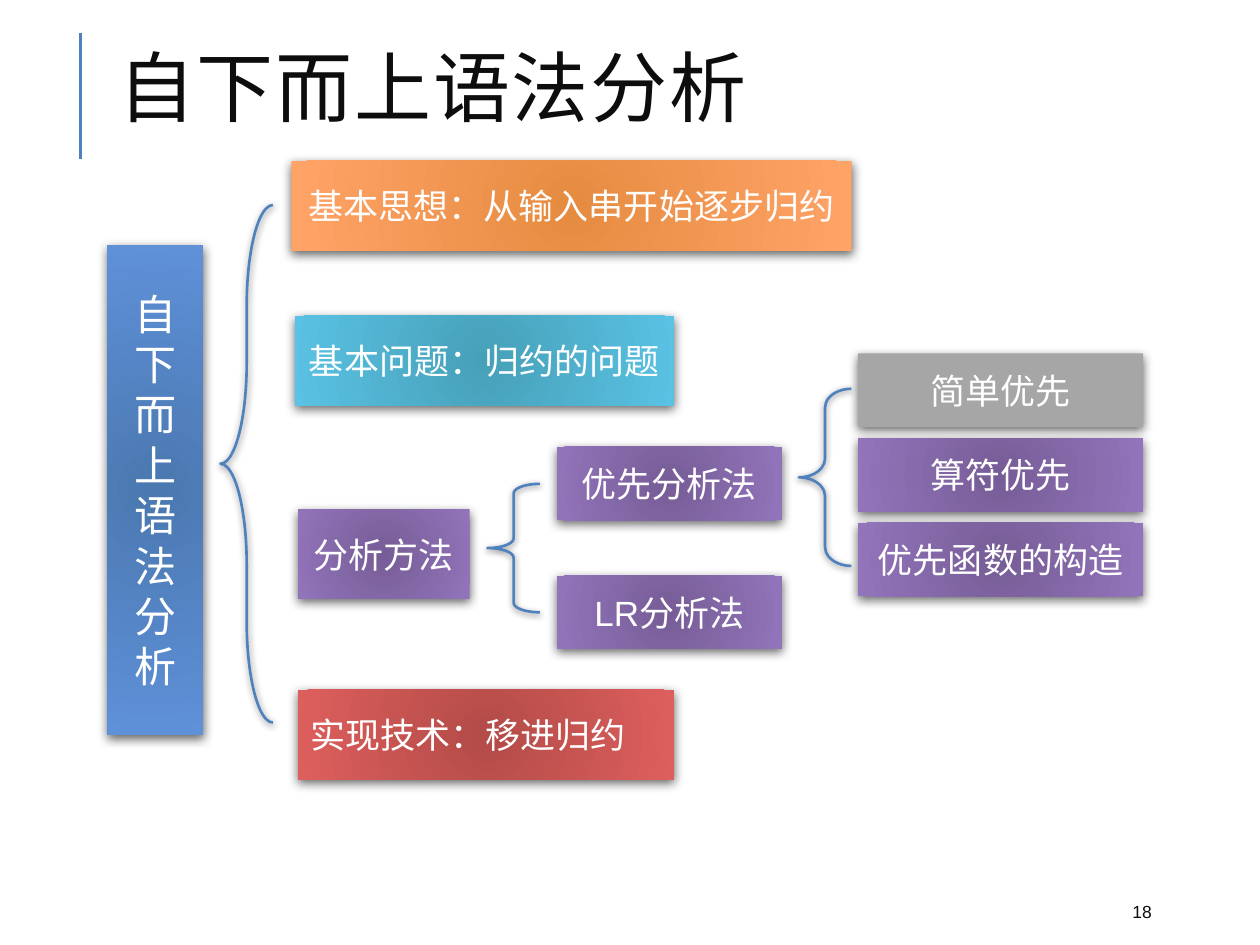
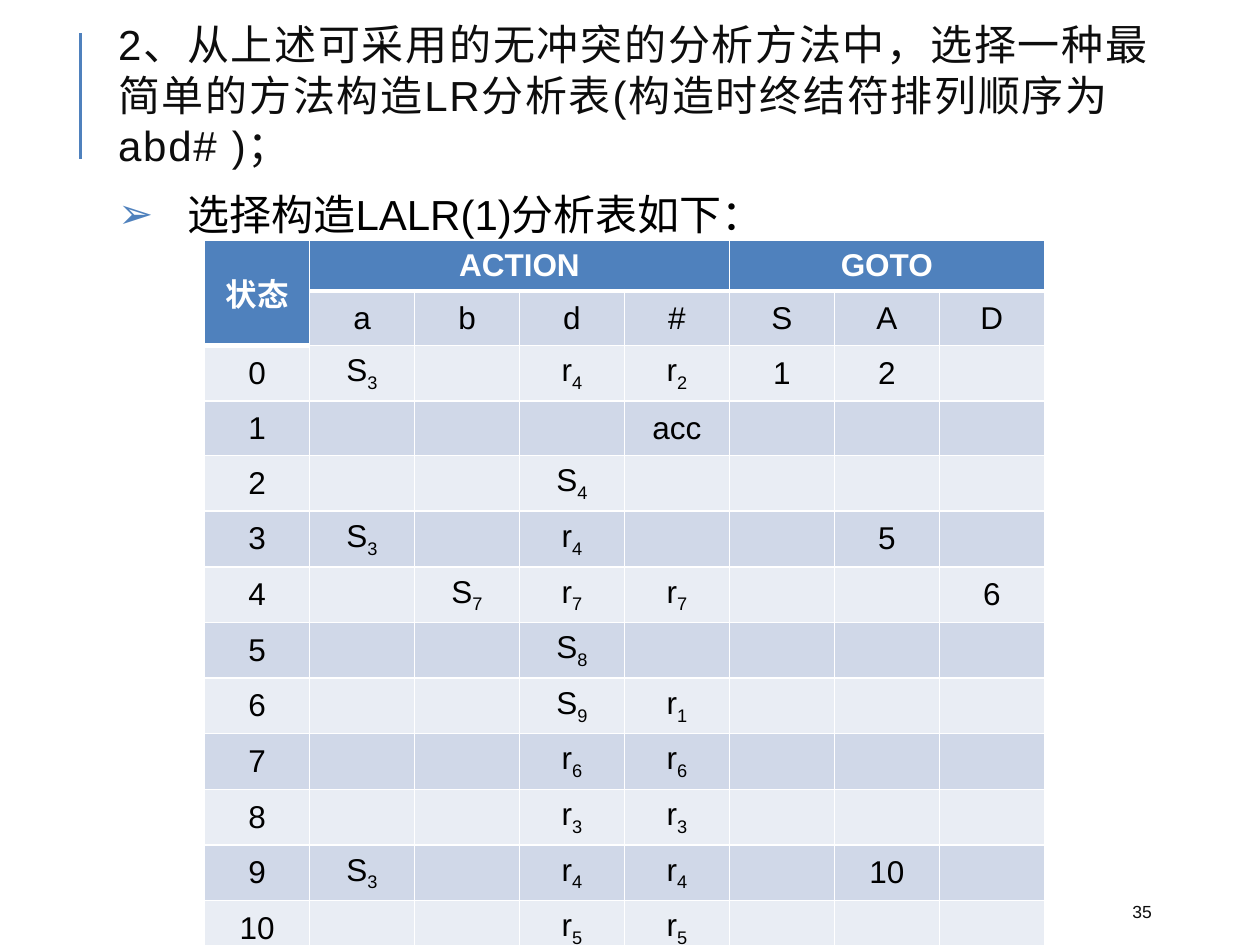
from lxml.etree import SubElement
from pptx import Presentation
from pptx.dml.color import RGBColor
from pptx.enum.shapes import MSO_CONNECTOR, MSO_SHAPE
from pptx.enum.text import MSO_ANCHOR, PP_ALIGN
from pptx.oxml.ns import qn
from pptx.util import Pt

FONT = "Arial"
COLORS = {
    "accent": "4F81BD", "title": "0D0D0D", "black": "000000", "white": "FFFFFF",
    "grey": "A6A6A6", "band_dark": "D0D8E8", "band_light": "E9EDF4",
}
GRADIENTS = {
    "blue": ("4A78B0", "5F91D9"), "orange": ("E68C41", "FFA367"),
    "aqua": ("46A0B8", "5AC2E4"), "purple": ("775D97", "9274BA"),
    "red": ("B34B48", "DD5F5D"),
}


def write_text(text_frame, text, size, color, alignment=PP_ALIGN.LEFT, anchor=MSO_ANCHOR.MIDDLE):
    text_frame.word_wrap = True
    text_frame.vertical_anchor = anchor
    paragraph = text_frame.paragraphs[0]
    paragraph.alignment = alignment
    paragraph.font.name = FONT
    paragraph.font.size = Pt(size)
    paragraph.font.color.rgb = RGBColor.from_string(COLORS[color])
    paragraph.add_run().text = text
    return paragraph


def add_shadow(shape, opacity, blur, distance):
    shape.shadow.inherit = False
    effects = shape._element.spPr.find(qn("a:effectLst"))
    shadow = SubElement(effects, qn("a:outerShdw"), blurRad=str(Pt(blur)),
                        dist=str(Pt(distance)), dir="5400000", rotWithShape="0")
    color = SubElement(shadow, qn("a:srgbClr"), val=COLORS["black"])
    SubElement(color, qn("a:alpha"), val=str(opacity * 1000))


presentation = Presentation()
presentation.slide_width, presentation.slide_height = Pt(720), Pt(540)

pages = [
    ("自下而上语法分析", 44, 0.8, "18"),
    ("2、从上述可采用的无冲突的分析方法中，选择一种最简单的方法构造LR分析表"
     "(构造时终结符排列顺序为 abd# )；", 24, 1.0, "35"),
]
for title, size, spacing, number in pages:
    slide = presentation.slides.add_slide(presentation.slide_layouts[6])
    rule = slide.shapes.add_connector(MSO_CONNECTOR.STRAIGHT, Pt(46.2), Pt(90.7), Pt(46.2), Pt(18.9))
    rule.line.color.rgb = RGBColor.from_string(COLORS["accent"])
    rule.line.width = Pt(1.5)
    SubElement(rule._element.spPr, qn("a:effectLst"))
    number_box = slide.shapes.add_textbox(Pt(640), Pt(510), Pt(57.6), Pt(21.6))
    write_text(number_box.text_frame, number, 10, "title")
    title_box = slide.shapes.add_textbox(Pt(60.5), Pt(18.7), Pt(612), Pt(70.6))
    paragraph = write_text(title_box.text_frame, title, size, "title")
    paragraph.line_spacing = spacing
    paragraph.runs[0]._r.get_or_add_rPr().set("spc", "100")

overview, table_slide = presentation.slides

topics = [
    ("自下而上语法分析", "blue", 61.2, 139.9, 54.8, 280),
    ("基本思想：从输入串开始逐步归约", "orange", 166.5, 92, 320.2, 51.2),
    ("基本问题：归约的问题", "aqua", 168.4, 180.6, 216.7, 51.2),
    ("分析方法", "purple", 170.4, 291, 98, 51.2),
    ("实现技术：移进归约", "red", 170.4, 394.3, 214.7, 51.2),
]
for row, text in enumerate(["优先分析法", "LR分析法"]):
    topics.append((text, "purple", 318.2, 255.4 + row * 73.5, 128.7, 42))
for row, text in enumerate(["简单优先", "算符优先", "优先函数的构造"]):
    topics.append((text, "purple" if row else "grey", 490.3, 202 + row * 48.4, 163, 42))

for text, color, left, top, width, height in topics:
    shape = overview.shapes.add_shape(MSO_SHAPE.RECTANGLE, Pt(left), Pt(top), Pt(width), Pt(height))
    if color in GRADIENTS:
        shape.fill.gradient()
        for position, (stop, value) in enumerate(zip(shape.fill.gradient_stops, GRADIENTS[color])):
            stop.position = position
            stop.color.rgb = RGBColor.from_string(value)
        gradient = shape._element.spPr.find(qn("a:gradFill"))
        gradient.remove(gradient.find(qn("a:lin")))
        circle = SubElement(gradient, qn("a:path"), path="circle")
        SubElement(circle, qn("a:fillToRect"), l="100000", t="100000", r="100000", b="100000")
    else:
        shape.fill.solid()
        shape.fill.fore_color.rgb = RGBColor.from_string(COLORS[color])
    shape.line.fill.background()
    add_shadow(shape, 60, 6, 2)
    write_text(shape.text_frame, text, 24 if color == "blue" else 20, "white",
               PP_ALIGN.LEFT if color == "red" else PP_ALIGN.CENTER)

braces = [(126, 117.2, 295.7, 1.925), (456.5, 222.2, 101.2, 0.359), (278.5, 276.5, 73.4, 0.18)]
for left, top, height, curve in braces:
    brace = overview.shapes.add_shape(MSO_SHAPE.LEFT_BRACE, Pt(left), Pt(top), Pt(30), Pt(height))
    brace.adjustments[0] = curve
    brace.adjustments[1] = 0.5
    brace.fill.background()
    brace.line.color.rgb = RGBColor.from_string(COLORS["accent"])
    brace.line.width = Pt(1.5)
    add_shadow(brace, 50, 4, 1)

body = table_slide.shapes.add_textbox(Pt(60.5), Pt(104.4), Pt(612), Pt(405.4))
properties = body.text_frame.paragraphs[0]._p.get_or_add_pPr()
properties.set("marL", str(Pt(39.6)))
properties.set("indent", str(-Pt(39.6)))
bullet_color = SubElement(properties, qn("a:buClr"))
SubElement(bullet_color, qn("a:srgbClr"), val=COLORS["accent"])
SubElement(properties, qn("a:buFont"), typeface=FONT)
SubElement(properties, qn("a:buChar"), char="➢")
paragraph = write_text(body.text_frame, "选择构造LALR(1)分析表如下：", 24, "black", anchor=MSO_ANCHOR.TOP)
paragraph.space_after = Pt(6)

parse_rows = [
    ["状态", "ACTION", "", "", "", "GOTO", "", ""],
    ["", "a", "b", "d", "#", "S", "A", "D"],
    ["0", "S3", "", "r4", "r2", "1", "2", ""],
    ["1", "", "", "", "acc", "", "", ""],
    ["2", "", "", "S4", "", "", "", ""],
    ["3", "S3", "", "r4", "", "", "5", ""],
    ["4", "", "S7", "r7", "r7", "", "", "6"],
    ["5", "", "", "S8", "", "", "", ""],
    ["6", "", "", "S9", "r1", "", "", ""],
    ["7", "", "", "r6", "r6", "", "", ""],
    ["8", "", "", "r3", "r3", "", "", ""],
    ["9", "S3", "", "r4", "r4", "", "10", ""],
    ["10", "", "", "r5", "r5", "", "", ""],
]
frame = table_slide.shapes.add_table(len(parse_rows), 8, Pt(116.9), Pt(137.5), Pt(480), Pt(403))
table = frame.table
table.first_row = table.horz_banding = False
for column in table.columns:
    column.width = Pt(60)
for row_index, values in enumerate(parse_rows):
    table.rows[row_index].height = Pt(31.15 if row_index else 28.8)
    for column_index, value in enumerate(values):
        cell = table.cell(row_index, column_index)
        header = row_index == 0 or (row_index == 1 and column_index == 0)
        cell_properties = cell._tc.get_or_add_tcPr()
        for side in ("lnL", "lnR", "lnT", "lnB"):
            width = 3 if header and side == "lnB" else 1
            border = SubElement(cell_properties, qn("a:" + side), w=str(Pt(width)))
            SubElement(SubElement(border, qn("a:solidFill")), qn("a:srgbClr"), val=COLORS["white"])
        band = "accent" if header else "band_dark" if row_index % 2 else "band_light"
        cell.fill.solid()
        cell.fill.fore_color.rgb = RGBColor.from_string(COLORS[band])
        cell.vertical_anchor = MSO_ANCHOR.MIDDLE
        indexed = len(value) == 2 and value[0] in "Sr"
        paragraph = write_text(cell.text_frame, value[0] if indexed else value, 18,
                               "white" if header else "black", PP_ALIGN.CENTER)
        paragraph.font.bold = header
        if indexed:
            subscript = paragraph.add_run()
            subscript.text = value[1]
            subscript._r.get_or_add_rPr().set("baseline", "-25000")
table.cell(0, 0).merge(table.cell(1, 0))
table.cell(0, 1).merge(table.cell(0, 4))
table.cell(0, 5).merge(table.cell(0, 7))

presentation.save("out.pptx")
